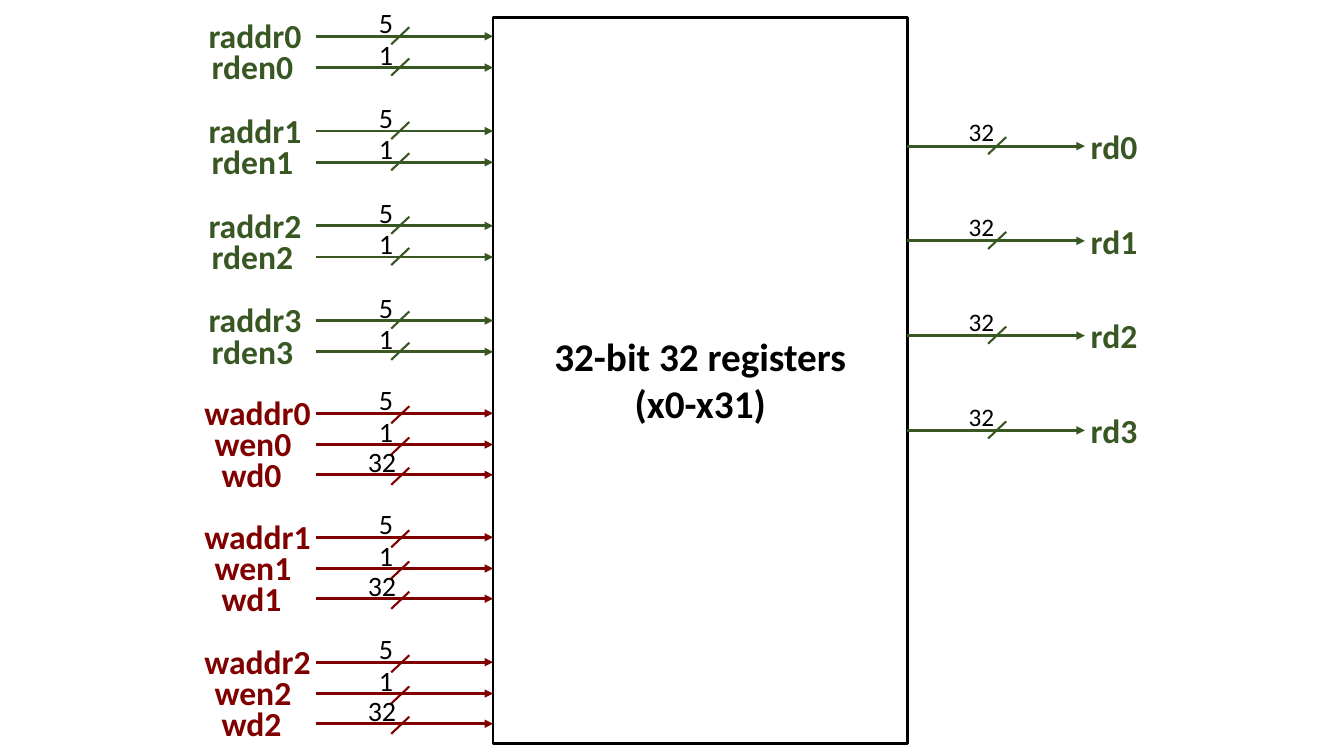
from pptx import Presentation
from pptx.dml.color import RGBColor
from pptx.enum.shapes import MSO_CONNECTOR, MSO_SHAPE
from pptx.enum.text import MSO_AUTO_SIZE, PP_ALIGN
from pptx.oxml.ns import qn
from pptx.util import Pt
from lxml.etree import SubElement

PX = 9144  # 100 px to the inch
COLORS = {"read": "385723", "write": "800000", "black": "000000"}

# Signal name, bus width, label left, label width
READ_SIGNALS = [("raddr", "5", 197, 113), ("rden", "1", 200, 102)]
WRITE_SIGNALS = [("waddr", "5", 193, 127), ("wen", "1", 203, 97), ("wd", "32", 210, 80)]
ROW_OFFSETS = [0, 31, 61]
WIDTH_LABELS = {"5": (366, 26), "1": (366, 26), "32": (355, 57)}


def rgb(name):
    return RGBColor.from_string(COLORS[name])


def add_text(slide, text, box, size, color="black", bold=False, wrap=False,
             align=PP_ALIGN.LEFT):
    shape = slide.shapes.add_textbox(*(value * PX for value in box))
    frame = shape.text_frame
    frame.word_wrap = wrap
    frame.auto_size = MSO_AUTO_SIZE.SHAPE_TO_FIT_TEXT
    frame.text = text
    for paragraph in frame.paragraphs:
        paragraph.alignment = align
        font = paragraph.runs[0].font
        font.name, font.size, font.bold = "Calibri", Pt(size), bold
        font.color.rgb = rgb(color)


def add_line(slide, start, end, color, width, arrow=False):
    points = (value * PX for value in (*start, *end))
    connector = slide.shapes.add_connector(MSO_CONNECTOR.STRAIGHT, *points)
    connector.line.color.rgb = rgb(color)
    connector.line.width = Pt(width)
    properties = connector.element.spPr
    if arrow:
        SubElement(properties.find(qn("a:ln")), qn("a:tailEnd"), type="triangle")
    SubElement(properties, qn("a:effectLst"))


def add_bus(slide, left, y, slash_left, slash_bottom, color):
    """Arrow with the slash that marks a bus."""
    add_line(slide, (left, y), (left + 176, y), color, 2, arrow=True)
    bottom = y + slash_bottom
    add_line(slide, (slash_left, bottom), (slash_left + 18, bottom - 17), color, 1.5)


def add_register_block(slide, box):
    left, top, width, height = box
    block = slide.shapes.add_shape(MSO_SHAPE.RECTANGLE, *(value * PX for value in box))
    block.shadow.inherit = False
    block.fill.background()
    block.line.color.rgb = rgb("black")
    block.line.width = Pt(2)
    title_box = (left + 49, top + 308, width - 98, 104)
    add_text(slide, "32-bit 32 registers\n(x0-x31)", title_box, 28,
             bold=True, align=PP_ALIGN.CENTER)


def add_input_port(slide, index, top, signals, color, slash_bottom):
    for (name, bits, left, width), offset in zip(signals, ROW_OFFSETS):
        y = top + offset
        add_bus(slide, 313, y, 388, slash_bottom, color)
        add_text(slide, f"{name}{index}", (left, y - 26, width, 50), 24, color, bold=True)
        bits_left, bits_width = WIDTH_LABELS[bits]
        add_text(slide, bits, (bits_left, y - 35, bits_width, 44), 20, wrap=True)


def add_output_port(slide, index, left, y):
    add_bus(slide, left, y, left + 80, 8, "read")
    add_text(slide, f"rd{index}", (left + 172, y - 25, 67, 50), 24, "read", bold=True)
    add_text(slide, "32", (left + 51, y - 34, 46, 40), 18, wrap=True)


def main():
    presentation = Presentation()
    presentation.slide_width = 1333 * PX
    presentation.slide_height = 750 * PX
    slide = presentation.slides.add_slide(presentation.slide_layouts[6])

    add_register_block(slide, (489, 17, 411, 721))
    # Four read ports: inputs on the left, data on the right
    for index in range(4):
        add_input_port(slide, index, 36 + 94 * index, READ_SIGNALS, "read", 8)
        add_output_port(slide, index, 900, 145 + 94 * index)
    # Three write ports
    for index in range(3):
        add_input_port(slide, index, 410 + 247 * index // 2, WRITE_SIGNALS, "write", 10)

    presentation.save("out.pptx")


if __name__ == "__main__":
    main()
